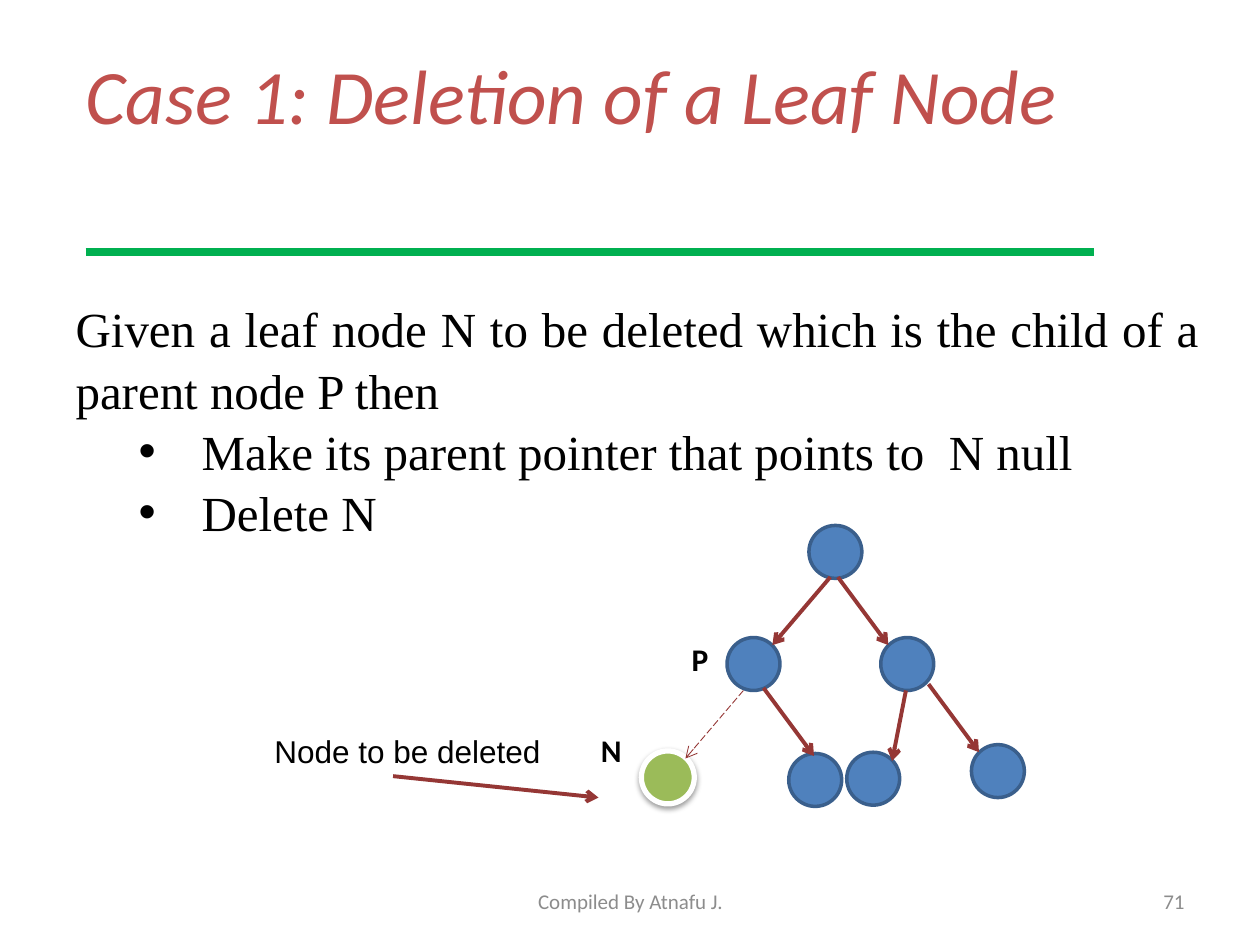
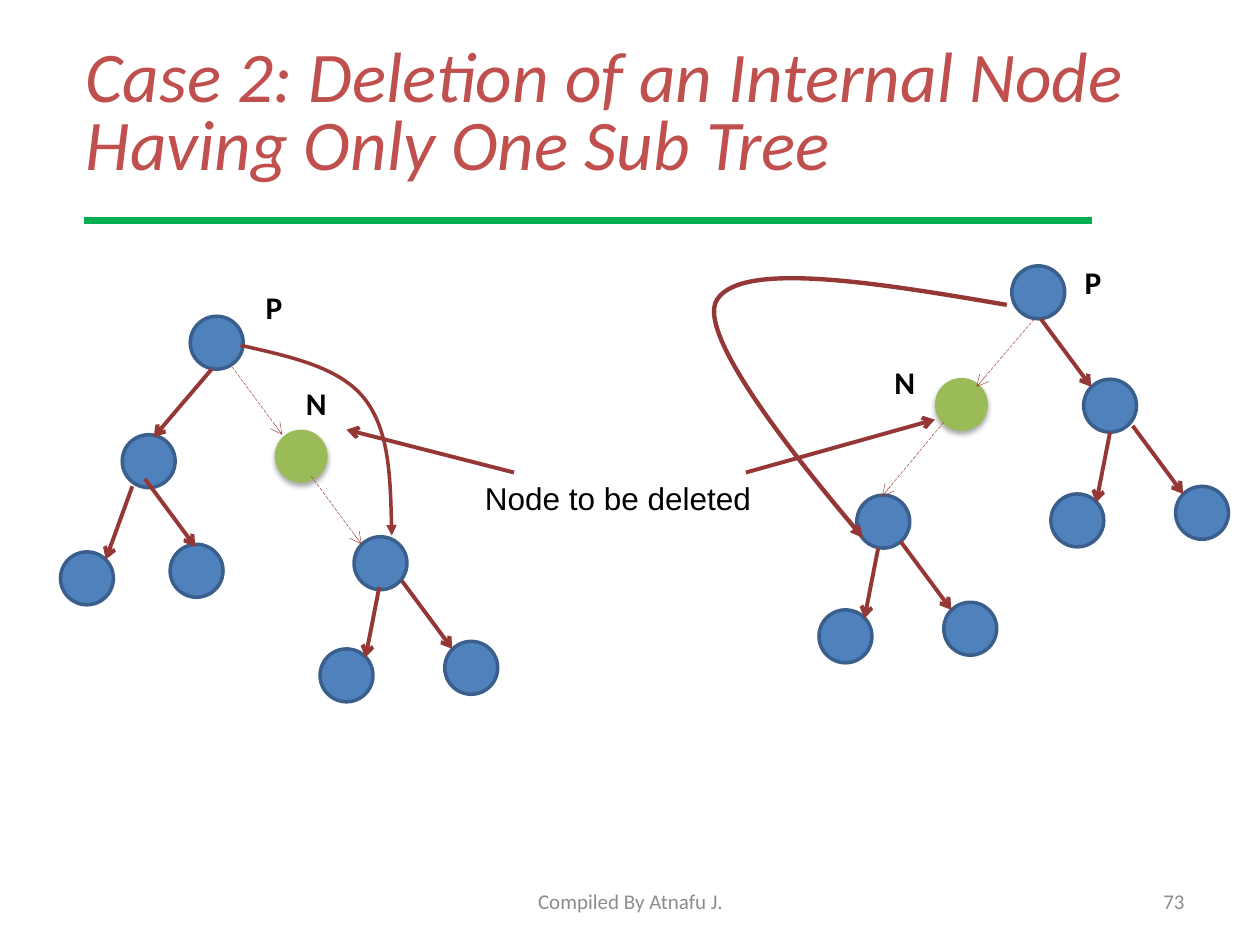
from lxml import etree
from pptx import Presentation
from pptx.dml import color
from pptx.enum import dml, shapes, text
from pptx.oxml import ns
from pptx.util import Inches, Pt

BLUE, BLUE_EDGE, GREEN = "4F81BD", "3A5F8C", "9BBB59"
ARROW, RULE, TITLE, GREY, BLACK, WHITE = "953735", "00B050", "C0504D", "8C8C8C", "000000", "FFFFFF"
NODE = 0.42
LEFT, RIGHT, STEEP = (-0.46, 0.54), (0.4, 0.54), (-0.11, 0.56)
FORK_NODES = [(-0.27, 0.91), (0.72, 0.85)]
FORK_EDGES = [((0.2, 0.42), STEEP), ((0.38, 0.37), RIGHT)]
FOOTER = "Compiled By Atnafu J."

SLIDES = [
    {
        "title": "Case 1: Deletion of a Leaf Node",
        "title_size": 44, "title_spacing": 1.0,
        "number": "71",
        "rule": (0.68, 2),
        "intro": "Given a leaf node N to be deleted which is the child of a parent node P then",
        "steps": ["Make its parent pointer that points to  N null", "Delete N"],
        "nodes": [(6.42, 4.17), (5.77, 5.06), (6.99, 5.06), (6.26, 5.98)],
        "deleted": [(5.09, 5.96)], "deleted_edge": WHITE, "shadow": (38, 1.6),
        "forks": [(6.99, 5.06)],
        "edges": [((6.59, 4.58), LEFT), ((6.65, 4.58), RIGHT), ((6.06, 5.46), RIGHT),
                  ((3.12, 6.16), (1.63, 0.17))],
        "dashed": [((5.9, 5.48), LEFT)], "dash_width": 0.5,
        "curves": [],
        "caption": (2.08, 5.76, 2.86),
        "letters": [("P", 5.39, 5.03), ("N", 4.67, 5.75)],
    },
    {
        "title": "Case 2: Deletion of an Internal Node Having Only One Sub Tree",
        "title_size": 40.7, "title_spacing": 0.8,
        "number": "73",
        "rule": (0.67, 1.75),
        "intro": None,
        "steps": [],
        "nodes": [(8.03, 2.11), (8.6, 3.01), (6.8, 3.93), (1.51, 2.51), (2.81, 4.26),
                  (0.97, 3.45), (1.35, 4.32), (0.48, 4.38)],
        "deleted": [(7.42, 3), (2.18, 3.41)], "deleted_edge": None, "shadow": (35, 1.8),
        "forks": [(8.61, 3.01), (6.77, 3.93), (2.81, 4.24)],
        "edges": [((8.26, 2.53), RIGHT), ((1.68, 2.93), LEFT), ((1.15, 3.8), RIGHT),
                  ((1.05, 3.86), (-0.21, 0.58)),
                  ((5.92, 3.75), (1.5, -0.42)), ((4.08, 3.75), (-1.33, -0.34))],
        "dashed": [((8.21, 2.53), LEFT), ((7.49, 3.35), (-0.49, 0.59)),
                   ((1.84, 2.91), RIGHT), ((2.47, 3.78), RIGHT)], "dash_width": 0.25,
        "curves": [
            (2, [(1.91, 2.74), (2.3, 2.83), (2.69, 2.91), (2.89, 3.16),
                 (3.09, 3.41), (3.1, 3.83), (3.11, 4.25)]),
            (2.5, [(7.99, 2.42), (6.94, 2.24), (5.88, 2.07), (5.69, 2.38),
                   (5.5, 2.68), (6.85, 4.27), (6.85, 4.27)]),
        ],
        "caption": (3.75, 3.75, 2.32),
        "letters": [("P", 8.51, 2.04), ("P", 2.01, 2.24), ("N", 2.33, 3), ("N", 7, 2.83)],
    },
]


def rgb(code):
    return color.RGBColor.from_string(code)


def add(parent, tag, **attributes):
    return etree.SubElement(parent, ns.qn(tag), attributes)


def shift(point, offset):
    return point[0] + offset[0], point[1] + offset[1]


def place(item, left, top, width, height):
    item.left, item.top, item.width, item.height = map(Inches, (left, top, width, height))


def write(paragraph, words, size, font, code, bold=False, italic=False):
    run = paragraph.add_run()
    run.text = words
    run.font.size, run.font.name = Pt(size), font
    run.font.bold, run.font.italic = bold, italic
    run.font.color.rgb = rgb(code)


def add_label(slide, words, box, size, font="Calibri", code=BLACK, bold=False,
              align=text.PP_ALIGN.LEFT, anchor=text.MSO_ANCHOR.TOP, wrap=True):
    frame = slide.shapes.add_textbox(*map(Inches, box)).text_frame
    frame.word_wrap, frame.vertical_anchor = wrap, anchor
    frame.paragraphs[0].alignment = align
    write(frame.paragraphs[0], words, size, font, code, bold)


def style_line(line, code, width, head=None):
    line.color.rgb, line.width = rgb(code), Pt(width)
    if head:
        add(line._get_or_add_ln(), "a:tailEnd", type=head)


def add_line(slide, start, step, code, width, head=None, dashed=False):
    ends = map(Inches, (*start, *shift(start, step)))
    connector = slide.shapes.add_connector(shapes.MSO_CONNECTOR.STRAIGHT, *ends)
    if dashed:
        connector.line.dash_style = dml.MSO_LINE.LONG_DASH
    style_line(connector.line, code, width, head)
    add(connector._element.spPr, "a:effectLst")


def add_node(slide, corner, fill, edge, width):
    node = slide.shapes.add_shape(shapes.MSO_SHAPE.OVAL, *map(Inches, (*corner, NODE, NODE)))
    node.shadow.inherit = False
    node.fill.solid()
    node.fill.fore_color.rgb = rgb(fill)
    if edge:
        style_line(node.line, edge, width)
    else:
        node.line.fill.background()
    return node


def add_shadow(node, opacity, distance):
    effects = node._element.spPr.find(ns.qn("a:effectLst"))
    shadow = add(effects, "a:outerShdw", blurRad=str(Pt(3.1)), dist=str(Pt(distance)),
                 dir="5400000", rotWithShape="0")
    add(add(shadow, "a:srgbClr", val=BLACK), "a:alpha", val=str(opacity * 1000))


def add_curve(slide, width, points):
    start, *rest = [tuple(map(Inches, point)) for point in points]
    builder = slide.shapes.build_freeform(*start)
    builder.add_line_segments(rest, close=False)
    curve = builder.convert_to_shape()
    curve.shadow.inherit = False
    curve.fill.background()
    style_line(curve.line, ARROW, width, "triangle")
    outline = next(curve._element.iter(ns.qn("a:moveTo"))).getparent()
    segments = outline.findall(ns.qn("a:lnTo"))
    for first in range(0, len(segments), 3):
        bezier = add(outline, "a:cubicBezTo")
        for segment in segments[first:first + 3]:
            bezier.append(segment[0])
            outline.remove(segment)


def add_title(slide, content):
    title = slide.shapes.title
    place(title, 0.58, 0.33, 9, 1.25)
    frame = title.text_frame
    frame.auto_size, frame.vertical_anchor = text.MSO_AUTO_SIZE.NONE, text.MSO_ANCHOR.TOP
    heading = frame.paragraphs[0]
    heading.alignment, heading.line_spacing = text.PP_ALIGN.LEFT, content["title_spacing"]
    write(heading, content["title"], content["title_size"], "Calibri", TITLE, italic=True)
    add_line(slide, content["rule"], (8, 0), RULE, 4.25)


def add_body(slide, content):
    body = slide.placeholders[1]
    place(body, 0.5, 2.33, 9.12, 1.99)
    frame = body.text_frame
    frame.auto_size, frame.vertical_anchor = text.MSO_AUTO_SIZE.NONE, text.MSO_ANCHOR.MIDDLE
    for index, words in enumerate([content["intro"], *content["steps"]]):
        paragraph = frame.add_paragraph() if index else frame.paragraphs[0]
        paragraph.alignment = text.PP_ALIGN.JUSTIFY
        paragraph.line_spacing, paragraph.space_before = 1.04, Pt(0)
        paragraph.level = min(index, 1)
        properties = paragraph._p.get_or_add_pPr()
        properties.set("marL", str(Inches(1 if index else 0)))
        properties.set("indent", str(Inches(-0.5 if index else 0)))
        if index:
            add(properties, "a:buFont", typeface="Arial")
            add(properties, "a:buChar", char="•")
        else:
            add(properties, "a:buNone")
        write(paragraph, words, 28, "Times New Roman", BLACK)


def add_tree(slide, content):
    forks = content["forks"]
    children = [shift(fork, offset) for fork in forks for offset in FORK_NODES]
    branches = [(shift(fork, offset), step) for fork in forks for offset, step in FORK_EDGES]
    for corner in content["nodes"] + children:
        add_node(slide, corner, BLUE, BLUE_EDGE, 2)
    for corner in content["deleted"]:
        add_shadow(add_node(slide, corner, GREEN, content["deleted_edge"], 3), *content["shadow"])
    for start, step in content["edges"] + branches:
        add_line(slide, start, step, ARROW, 2.25, "arrow")
    for start, step in content["dashed"]:
        add_line(slide, start, step, ARROW, content["dash_width"], "arrow", dashed=True)
    for width, points in content["curves"]:
        add_curve(slide, width, points)
    add_label(slide, "Node to be deleted", (*content["caption"], 0.4), 18, "Arial")
    for letter, left, top in content["letters"]:
        add_label(slide, letter, (left, top, 0.37, 0.4), 18, bold=True, wrap=False)


def add_footer(slide, number):
    middle = text.MSO_ANCHOR.MIDDLE
    add_label(slide, FOOTER, (3.42, 6.95, 3.17, 0.4), 12, code=GREY,
              align=text.PP_ALIGN.CENTER, anchor=middle)
    add_label(slide, number, (7.17, 6.95, 2.33, 0.4), 12, code=GREY,
              align=text.PP_ALIGN.RIGHT, anchor=middle)


def main():
    deck = Presentation()
    deck.slide_width, deck.slide_height = Inches(10), Inches(7.5)
    for content in SLIDES:
        layout = deck.slide_layouts[1 if content["intro"] else 5]
        slide = deck.slides.add_slide(layout)
        add_title(slide, content)
        if content["intro"]:
            add_body(slide, content)
        add_tree(slide, content)
        add_footer(slide, content["number"])
    deck.save("out.pptx")


if __name__ == "__main__":
    main()
